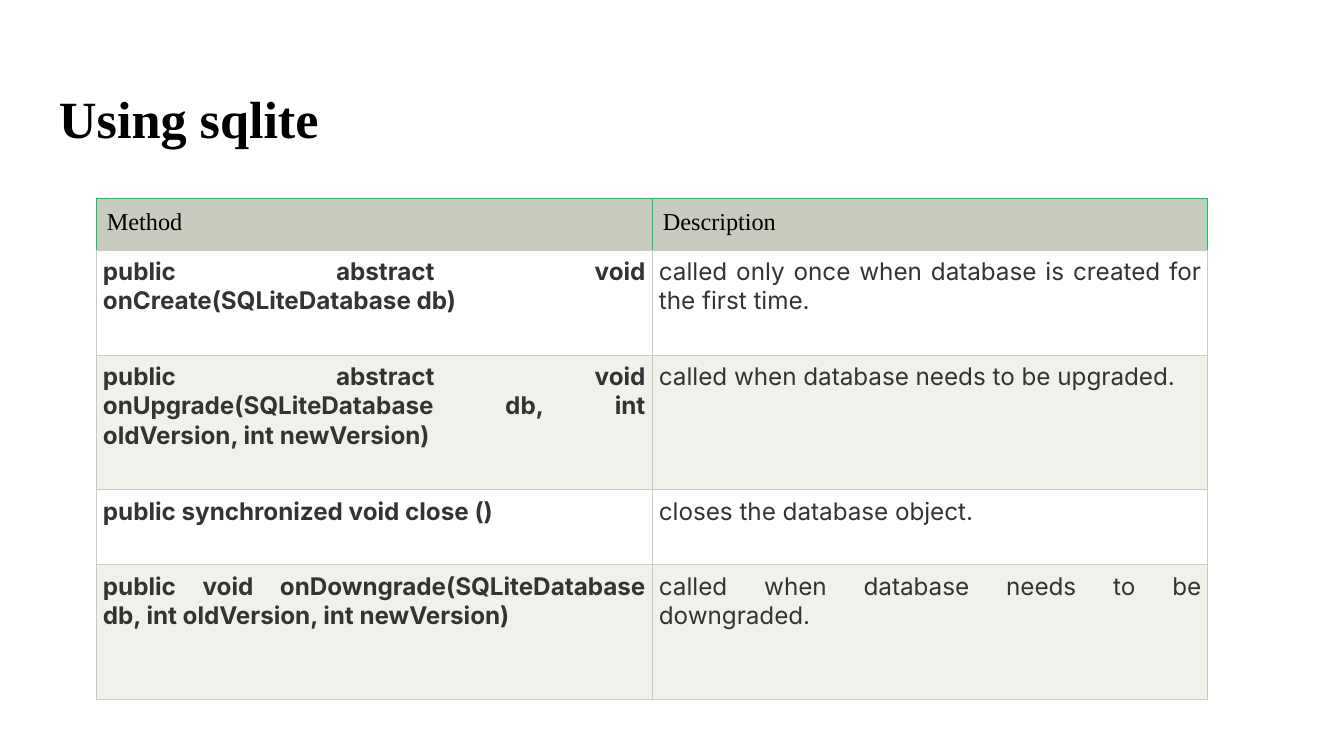
"""Build a slide with a table of SQLite helper methods."""
import lxml.etree
import pptx
import pptx.dml.color
import pptx.enum.text
import pptx.oxml.ns
import pptx.util

EMU_PER_PX = 914400 / 134.4
COLORS = {
    "title": "000000",
    "body": "333333",
    "header": "C7CCBE",
    "band": "EFF1EB",
    "plain": "FFFFFF",
    "grid": "C7CCBE",
    "accent": "00D162",
}
TITLE_FONT = {"name": "Times New Roman", "size": pptx.util.Pt(28), "bold": True}
HEADER_FONT = {"name": "Times New Roman", "size": pptx.util.Pt(13), "bold": False}
BODY_FONT = {"name": "Inter", "size": pptx.util.Pt(13)}
COLUMN_WIDTH = 556
ROW_HEIGHTS = [52, 105, 135, 75, 135]
HEADINGS = ["Method", "Description"]
METHODS = [
    ["public abstract void onCreate(SQLiteDatabase db)",
     "called only once when database is created for the first time."],
    ["public abstract void onUpgrade(SQLiteDatabase db, int oldVersion, int newVersion)",
     "called when database needs to be upgraded."],
    ["public synchronized void close ()",
     "closes the database object."],
    ["public void onDowngrade(SQLiteDatabase db, int oldVersion, int newVersion)",
     "called when database needs to be downgraded."],
]


def px(length):
    return pptx.util.Emu(round(length * EMU_PER_PX))


def rgb(name):
    return pptx.dml.color.RGBColor.from_string(COLORS[name])


def set_attributes(target, values):
    for name, value in values.items():
        setattr(target, name, value)


def write_text(paragraph, text, font_values, color):
    run = paragraph.add_run()
    run.text = text
    set_attributes(run.font, font_values)
    run.font.color.rgb = rgb(color)


def add_title(slide, text):
    shape = slide.shapes.add_textbox(px(46), px(66), px(1252), px(85))
    set_attributes(shape.text_frame, {
        "word_wrap": True,
        "vertical_anchor": pptx.enum.text.MSO_ANCHOR.TOP,
        "margin_left": px(13), "margin_right": px(13),
        "margin_top": px(20), "margin_bottom": px(5),
    })
    write_text(shape.text_frame.paragraphs[0], text, TITLE_FONT, "title")


def set_borders(cell, colors):
    properties = cell._tc.get_or_add_tcPr()
    for index, side in enumerate(["L", "R", "T", "B"]):
        line = lxml.etree.Element(
            pptx.oxml.ns.qn(f"a:ln{side}"), w=str(pptx.util.Pt(0.5)))
        fill = lxml.etree.SubElement(line, pptx.oxml.ns.qn("a:solidFill"))
        lxml.etree.SubElement(
            fill, pptx.oxml.ns.qn("a:srgbClr"), val=COLORS[colors[side]])
        properties.insert(index, line)


def fill_cell(cell, text, font_values, color, fill, margin, borders):
    cell.fill.solid()
    cell.fill.fore_color.rgb = rgb(fill)
    sides = ["left", "right", "top", "bottom"]
    set_attributes(cell, {f"margin_{side}": px(margin) for side in sides})
    write_text(cell.text_frame.paragraphs[0], text, font_values, color)
    set_borders(cell, borders)


def add_method_table(slide):
    table = slide.shapes.add_table(
        len(ROW_HEIGHTS), len(HEADINGS), px(96), px(198),
        px(COLUMN_WIDTH * len(HEADINGS)), px(sum(ROW_HEIGHTS))).table
    set_attributes(table, {"first_row": False, "horz_banding": False})
    for column in table.columns:
        column.width = px(COLUMN_WIDTH)
    for row, height in zip(table.rows, ROW_HEIGHTS):
        row.height = px(height)

    grid_borders = dict.fromkeys("LRTB", "grid")
    header_borders = {**dict.fromkeys("LRT", "accent"), "B": "grid"}
    for column_index, heading in enumerate(HEADINGS):
        fill_cell(table.cell(0, column_index), heading, HEADER_FONT,
                  "title", "header", 11, header_borders)
    for row_index, texts in enumerate(METHODS, start=1):
        fill = "plain" if row_index % 2 else "band"
        for column_index, text in enumerate(texts):
            cell = table.cell(row_index, column_index)
            font_values = {**BODY_FONT, "bold": column_index == 0}
            fill_cell(cell, text, font_values, "body", fill, 7, grid_borders)
            cell.text_frame.paragraphs[0].alignment = pptx.enum.text.PP_ALIGN.JUSTIFY


def main():
    presentation = pptx.Presentation()
    presentation.slide_width = px(1344)
    presentation.slide_height = px(756)
    slide = presentation.slides.add_slide(presentation.slide_layouts[6])
    add_title(slide, "Using sqlite")
    add_method_table(slide)
    presentation.save("out.pptx")


if __name__ == "__main__":
    main()
